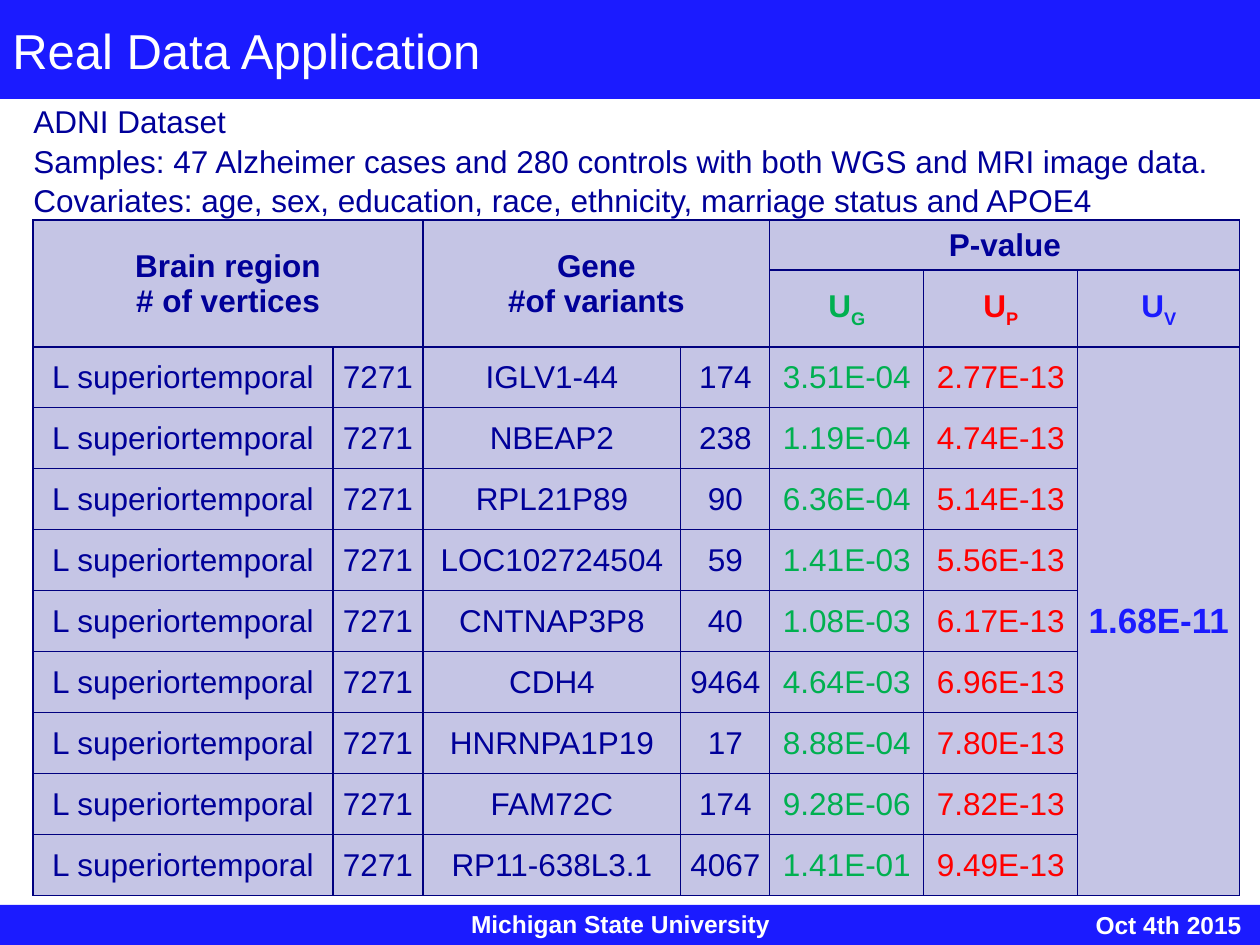
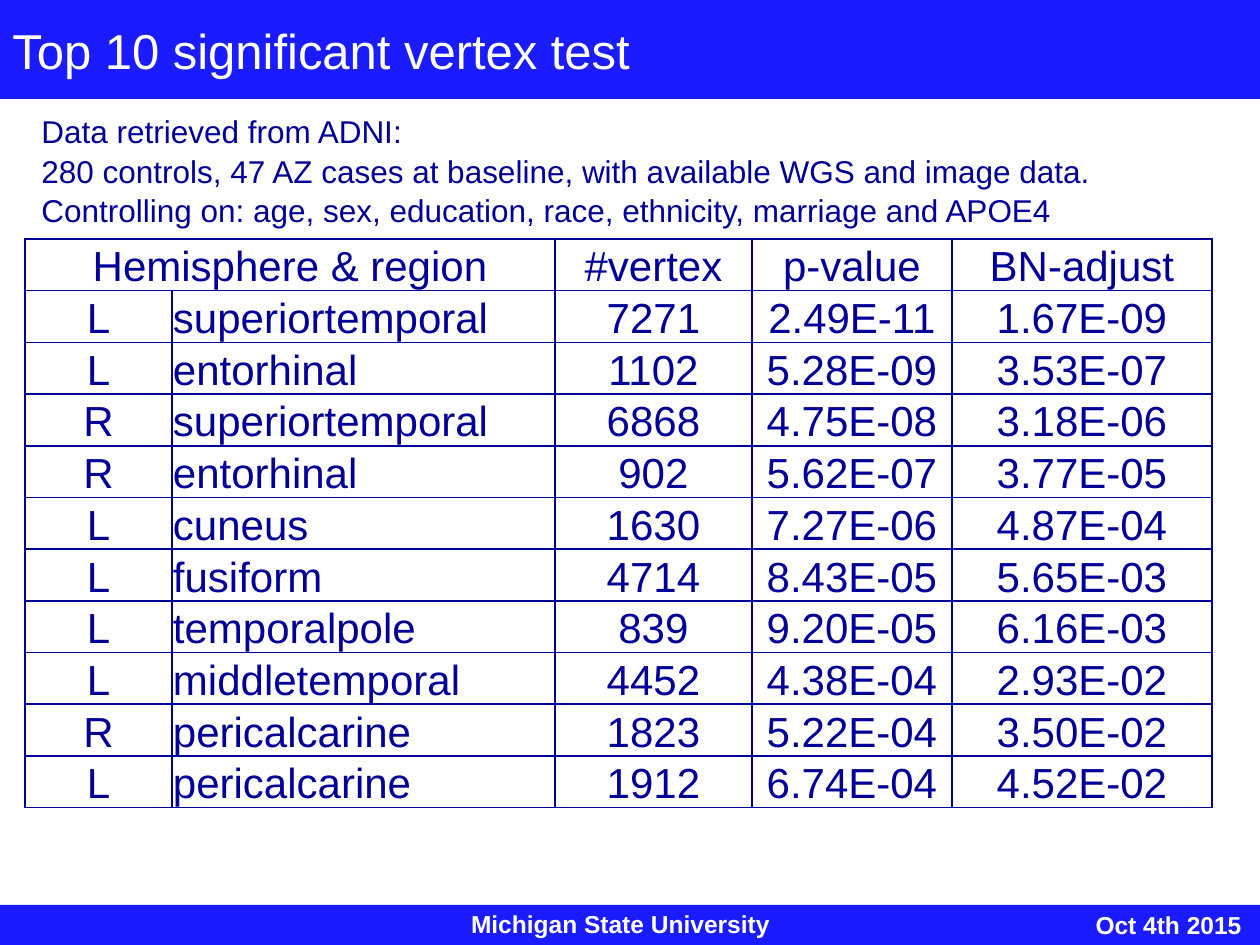
"""Build two slides of brain imaging genetics results, each with a title band, a summary and a table."""
from typing import NamedTuple

from lxml import etree
from pptx import Presentation
from pptx.dml.color import RGBColor
from pptx.enum.shapes import MSO_SHAPE
from pptx.enum.text import MSO_ANCHOR, PP_ALIGN
from pptx.oxml.ns import qn
from pptx.util import Pt

EMU_PER_PX = 914400 / 126
SLIDE_WIDTH, SLIDE_HEIGHT = 1260, 945
BAND_HEIGHT, FOOTER_TOP = 99, 905
FONT = "Arial"
RECTANGLE = MSO_SHAPE.RECTANGLE
LEFT, CENTER, RIGHT = PP_ALIGN.LEFT, PP_ALIGN.CENTER, PP_ALIGN.RIGHT
TOP, MIDDLE, BOTTOM = MSO_ANCHOR.TOP, MSO_ANCHOR.MIDDLE, MSO_ANCHOR.BOTTOM
COLORS = {
    "band": "1B1BFF",
    "white": "FFFFFF",
    "navy": "000099",
    "grid": "00007F",
    "cell": "C5C5E5",
    "green": "00B050",
    "red": "FF0000",
}


class Box(NamedTuple):
    """Left, top, width and height in px."""
    left: int
    top: int
    width: int
    height: int


class Run(NamedTuple):
    """A piece of text with one look."""
    text: str
    size: int = 18
    color: str = "navy"
    bold: bool = False
    subscript: bool = False


class Cell(NamedTuple):
    """A table cell: its paragraphs, alignment and span."""
    paragraphs: list[list[Run]]
    align: PP_ALIGN = CENTER
    rows: int = 1
    columns: int = 1


class TableLook(NamedTuple):
    """Border, fill and vertical anchor shared by all cells of a table."""
    border: str
    border_points: float
    fill: str | None
    anchor: MSO_ANCHOR


class ResultSlide(NamedTuple):
    """The content of one slide."""
    title: str
    title_width: int
    summary: list[str]
    summary_box: Box
    table_left: int
    table_top: int
    column_widths: list[int]
    row_heights: list[float]
    cells: dict[tuple[int, int], Cell]
    look: TableLook


def px(length: float) -> int:
    """Turn px into EMU."""
    return round(length * EMU_PER_PX)


def rgb(name: str) -> RGBColor:
    """Look up a colour by name."""
    return RGBColor.from_string(COLORS[name])


def write(frame, paragraphs: list[list[Run]], align=LEFT, spacing: float = 1.0) -> None:
    """Fill a text frame with paragraphs, run by run."""
    for index, runs in enumerate(paragraphs):
        paragraph = frame.add_paragraph() if index else frame.paragraphs[0]
        paragraph.alignment = align
        paragraph.line_spacing = spacing
        for piece in runs:
            run = paragraph.add_run()
            run.text = piece.text
            run.font.name = FONT
            run.font.size = Pt(piece.size)
            run.font.bold = piece.bold
            run.font.color.rgb = rgb(piece.color)
            if piece.subscript:
                run._r.get_or_add_rPr().set("baseline", "-25000")


def add_band(slide, top: int, height: int) -> None:
    """Draw a full-width coloured band."""
    shape = slide.shapes.add_shape(RECTANGLE, 0, px(top), px(SLIDE_WIDTH), px(height))
    shape.shadow.inherit = False
    shape.fill.solid()
    shape.fill.fore_color.rgb = rgb("band")
    shape.line.fill.background()


def add_text(slide, box: Box, paragraphs: list[list[Run]], align=LEFT, anchor=TOP,
             spacing: float = 1.0) -> None:
    """Add a wrapping text box."""
    frame = slide.shapes.add_textbox(*map(px, box)).text_frame
    frame.word_wrap = True
    frame.vertical_anchor = anchor
    write(frame, paragraphs, align, spacing)


def add_frame(slide, title: str, title_width: int) -> None:
    """Add the footer and title bands with their text."""
    add_band(slide, FOOTER_TOP, SLIDE_HEIGHT - FOOTER_TOP)
    add_text(slide, Box(253, 903, 735, 42),
             [[Run("Michigan State University", 14, "white", True)]], CENTER)
    add_text(slide, Box(1008, 903, 246, 43),
             [[Run("Oct 4th 2015", 14, "white", True)]], RIGHT, MIDDLE)
    add_band(slide, 0, BAND_HEIGHT)
    add_text(slide, Box(0, 0, title_width, BAND_HEIGHT),
             [[Run(title, 28, "white")]], anchor=MIDDLE)


def style_cell(cell, look: TableLook) -> None:
    """Set the borders, fill, margins and anchor of a cell."""
    properties = cell._tc.get_or_add_tcPr()
    for side in ("a:lnL", "a:lnR", "a:lnT", "a:lnB"):
        line = etree.SubElement(properties, qn(side), w=str(Pt(look.border_points)))
        fill = etree.SubElement(line, qn("a:solidFill"))
        etree.SubElement(fill, qn("a:srgbClr"), val=COLORS[look.border])
    if look.fill:
        cell.fill.solid()
        cell.fill.fore_color.rgb = rgb(look.fill)
    else:
        cell.fill.background()
    cell.margin_left = cell.margin_right = cell.margin_top = px(1)
    cell.margin_bottom = 0
    cell.vertical_anchor = look.anchor


def add_result_table(slide, content: ResultSlide) -> None:
    """Add the table of a slide."""
    widths, heights = content.column_widths, content.row_heights
    box = (content.table_left, content.table_top, sum(widths), sum(heights))
    table = slide.shapes.add_table(len(heights), len(widths), *map(px, box)).table
    table.first_row = table.horz_banding = False
    for column, width in zip(table.columns, widths):
        column.width = px(width)
    for row, height in zip(table.rows, heights):
        row.height = px(height)
    for cell in table.iter_cells():
        style_cell(cell, content.look)
    for (row, column), item in content.cells.items():
        cell = table.cell(row, column)
        if item.rows > 1 or item.columns > 1:
            cell.merge(table.cell(row + item.rows - 1, column + item.columns - 1))
        write(cell.text_frame, item.paragraphs, item.align)


def gene_cells() -> dict[tuple[int, int], Cell]:
    """Lay out the gene table."""
    genes = [
        ("IGLV1-44", "174", "3.51E-04", "2.77E-13"),
        ("NBEAP2", "238", "1.19E-04", "4.74E-13"),
        ("RPL21P89", "90", "6.36E-04", "5.14E-13"),
        ("LOC102724504", "59", "1.41E-03", "5.56E-13"),
        ("CNTNAP3P8", "40", "1.08E-03", "6.17E-13"),
        ("CDH4", "9464", "4.64E-03", "6.96E-13"),
        ("HNRNPA1P19", "17", "8.88E-04", "7.80E-13"),
        ("FAM72C", "174", "9.28E-06", "7.82E-13"),
        ("RP11-638L3.1", "4067", "1.41E-01", "9.49E-13"),
    ]
    column_colors = ["navy"] * 4 + ["green", "red"]
    headings = [["Brain region", "# of vertices"], ["Gene", "#of variants"]]
    cells = {
        (0, 2 * index): Cell([[Run(line, bold=True)] for line in lines], rows=2, columns=2)
        for index, lines in enumerate(headings)
    }
    cells[0, 4] = Cell([[Run("P-value", bold=True)]], columns=3)
    for column, (letter, color) in enumerate(zip("GPV", ("green", "red", "band")), 4):
        cells[1, column] = Cell([[Run("U", 18, color, True), Run(letter, 18, color, True, True)]])
    for row, gene in enumerate(genes, 2):
        values = ("L superiortemporal", "7271", *gene)
        for column, (value, color) in enumerate(zip(values, column_colors)):
            cells[row, column] = Cell([[Run(value, color=color)]])
    cells[2, 6] = Cell([[Run("1.68E-11", 20, "band", True)]], rows=len(genes))
    return cells


def vertex_cells() -> dict[tuple[int, int], Cell]:
    """Lay out the vertex test table."""
    regions = [
        ("L", "superiortemporal", "7271", "2.49E-11", "1.67E-09"),
        ("L", "entorhinal", "1102", "5.28E-09", "3.53E-07"),
        ("R", "superiortemporal", "6868", "4.75E-08", "3.18E-06"),
        ("R", "entorhinal", "902", "5.62E-07", "3.77E-05"),
        ("L", "cuneus", "1630", "7.27E-06", "4.87E-04"),
        ("L", "fusiform", "4714", "8.43E-05", "5.65E-03"),
        ("L", "temporalpole", "839", "9.20E-05", "6.16E-03"),
        ("L", "middletemporal", "4452", "4.38E-04", "2.93E-02"),
        ("R", "pericalcarine", "1823", "5.22E-04", "3.50E-02"),
        ("L", "pericalcarine", "1912", "6.74E-04", "4.52E-02"),
    ]
    cells = {(0, 0): Cell([[Run("Hemisphere & region", 24)]], columns=2)}
    for column, heading in enumerate(("#vertex", "p-value", "BN-adjust"), 2):
        cells[0, column] = Cell([[Run(heading, 24)]])
    for row, values in enumerate(regions, 1):
        for column, value in enumerate(values):
            cells[row, column] = Cell([[Run(value, 24)]], LEFT if column == 1 else CENTER)
    return cells


def main() -> None:
    """Build and save the presentation."""
    contents = [
        ResultSlide(
            "Real Data Application", 1140,
            ["ADNI Dataset",
             "Samples: 47 Alzheimer cases and 280 controls with both WGS and MRI image data. "
             "Covariates: age, sex, education, race, ethnicity, marriage status and APOE4"],
            Box(21, 94, 1219, 127), 33, 220,
            [300, 90, 258, 89, 154, 154, 162], [50, 77] + [61] * 9,
            gene_cells(), TableLook("grid", 0.75, "cell", MIDDLE)),
        ResultSlide(
            "Top 10 significant vertex test", SLIDE_WIDTH,
            ["Data retrieved from ADNI:",
             "280 controls, 47 AZ cases at baseline, with available WGS and image data.",
             "Controlling on: age, sex, education, race, ethnicity, marriage and APOE4"],
            Box(29, 104, 1158, 127), 25, 239,
            [147, 383, 197, 200, 260], [569 / 11] * 11,
            vertex_cells(), TableLook("navy", 1, None, BOTTOM)),
    ]
    presentation = Presentation()
    presentation.slide_width, presentation.slide_height = px(SLIDE_WIDTH), px(SLIDE_HEIGHT)
    for content in contents:
        slide = presentation.slides.add_slide(presentation.slide_layouts[6])
        add_frame(slide, content.title, content.title_width)
        add_text(slide, content.summary_box, [[Run(line)] for line in content.summary],
                 spacing=1.05)
        add_result_table(slide, content)
    presentation.save("out.pptx")


if __name__ == "__main__":
    main()
